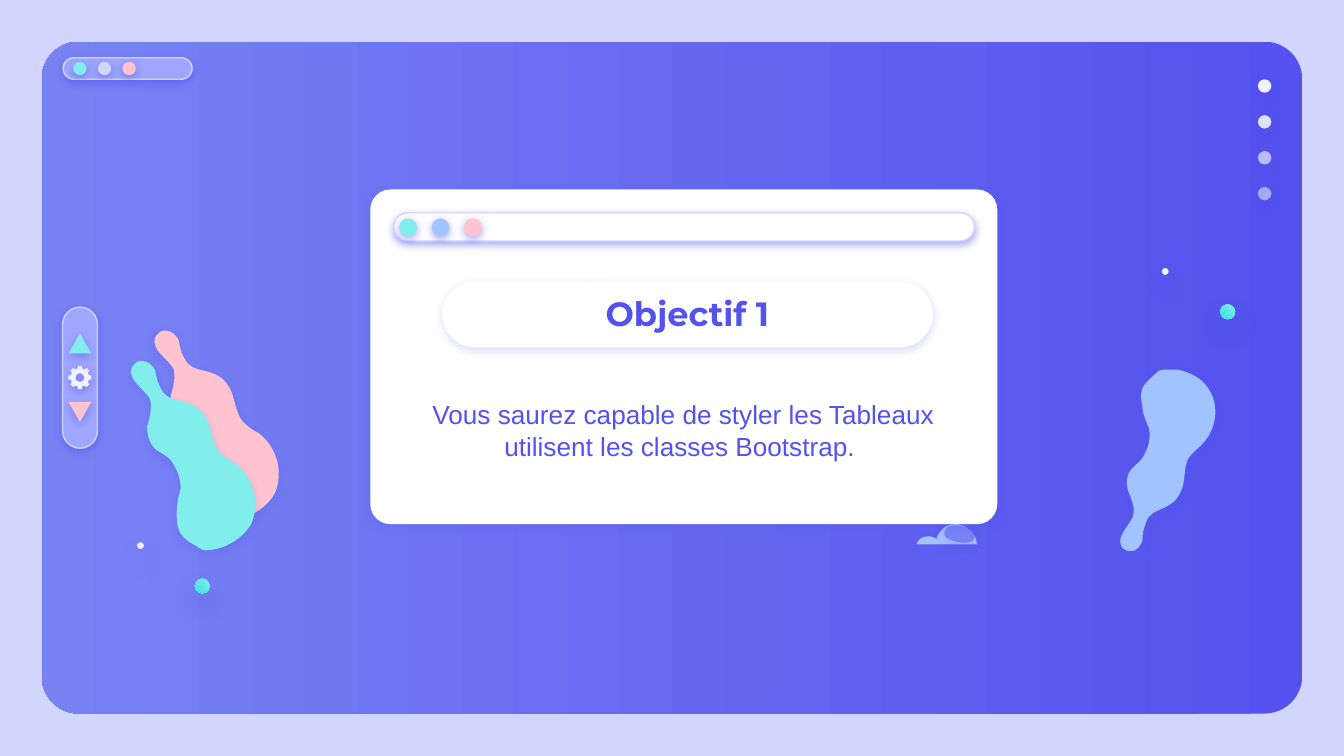
from math import cos, pi, sin

from lxml.etree import SubElement
from pptx import Presentation
from pptx.dml.color import RGBColor
from pptx.enum.shapes import MSO_SHAPE
from pptx.enum.text import MSO_ANCHOR, MSO_AUTO_SIZE, PP_ALIGN
from pptx.oxml.ns import qn
from pptx.util import Inches, Pt

# Content
TITLE = "Objectif 1"
GOAL = "Vous saurez capable de styler les Tableaux utilisent les classes Bootstrap. "

# Palette
INDIGO, VIOLET, LILAC, PALE = "5352EE", "7882F3", "9EA6FF", "D2D6FF"
MINT, SKY, ROSE, SNOW, WHITE = "81EEEB", "A1C3FF", "FFC3D0", "F1F0FF", "FFFFFF"
BACKDROP = (INDIGO, VIOLET, 180)
MINT_FADE = (MINT, "3AE4DF", 225)

# Shadows: opacity %, blur pt, distance pt
FIRM, LIGHT, FAINT, FAR = (50, 4.5, 1.5), (22, 4.5, 1.5), (18, 4.5, 1.5), (38, 12.4, 6.8)

# All lengths are cells of a square grid, 100 columns across the slide
W = Inches(10)
H = W * 9 // 16
CELL = W / 100

# Rows of dots: x, y, step x, step y, size, [(colour, opacity %)]
WINDOW_DOTS = (5.45, 4.6, 1.83, 0, 1, [(MINT, 100), (PALE, 100), (ROSE, 100)])
PAGE_DOTS = (93.6, 5.9, 0, 2.67, 1, [(SNOW, 100), (SNOW, 90), (SNOW, 67), (SNOW, 54)])
CARD_DOTS = (29.7, 16.25, 2.41, 0, 1.33, [(MINT, 100), (SKY, 100), (ROSE, 100)])

# Loose dots: x, y, size, fill
SPARKS = [(90.8, 22.65, 1.1, MINT_FADE), (86.45, 19.95, 0.5, SNOW),
          (14.5, 43.05, 1.1, MINT_FADE), (10.2, 40.35, 0.5, SNOW)]

# Curved outlines: a start point, then three points for each Bezier curve
DROP = [
    (12.2, 24.6),
    (12, 24.6), (11.9, 24.7), (11.8, 24.8), (10.8, 25.7), (12.5, 26.7), (12.9, 27.4),
    (13.1, 28), (12.9, 28.8), (12.7, 29.5), (12.7, 30.2), (12.9, 30.9), (13.5, 31.3),
    (14, 31.6), (14.4, 31.8), (14.6, 32.2), (15, 32.8), (15.2, 33.5), (15.2, 34.1),
    (15, 34.7), (14.9, 35.4), (14.9, 36), (14.9, 36.4), (14.9, 37.1), (15.3, 37.6),
    (15.7, 38.1), (16.3, 38.3), (16.7, 38.6), (16.8, 38.7), (16.9, 38.7), (17.1, 38.7),
    (17.4, 38.7), (17.9, 38.6), (18.2, 38.5), (19.1, 38.2), (20.1, 37.5), (20.5, 36.6),
    (21.1, 35.1), (20.6, 33.2), (19.2, 32.2), (18.8, 32), (18.5, 31.8), (18.1, 31.4),
    (17.6, 30.9), (17.5, 29.8), (17.2, 29.1), (16.3, 27.1), (14.5, 28), (13.8, 26.8),
    (13.5, 26.3), (13.4, 25.9), (13.3, 25.3), (13.1, 25), (12.9, 24.6), (12.2, 24.6)]
TALL_DROP = [
    (84.1, 41),
    (84, 41), (83.8, 41), (83.7, 40.9), (82.7, 40.2), (84.1, 39.1), (84.3, 38.4),
    (84.5, 37.7), (84.1, 37), (83.9, 36.4), (83.8, 35.8), (83.8, 35.2), (84.4, 34.7),
    (84.7, 34.4), (85.1, 34.1), (85.2, 33.7), (85.5, 33.2), (85.6, 32.5), (85.5, 31.9),
    (85.3, 31.4), (85, 30.8), (85, 30.2), (84.9, 29.9), (84.8, 29.2), (85.1, 28.7),
    (85.4, 28.3), (85.9, 27.9), (86.2, 27.6), (86.3, 27.6), (86.4, 27.5), (86.6, 27.5),
    (86.9, 27.5), (87.3, 27.5), (87.6, 27.5), (88.5, 27.7), (89.4, 28.1), (89.9, 28.9),
    (90.8, 30.2), (90.5, 32), (89.4, 33.1), (89.1, 33.4), (88.8, 33.6), (88.5, 34),
    (88.1, 34.5), (88.2, 35.5), (88, 36.2), (87.4, 38.2), (85.7, 37.6), (85.3, 38.8),
    (85.1, 39.3), (85, 39.7), (85, 40.2), (84.9, 40.5), (84.7, 41), (84.1, 41)]
CLOUD = [
    (71.1, 39),
    (70.8, 39), (70.4, 39.1), (70.2, 39.3), (70, 39.5), (69.7, 39.8), (69.7, 40.1),
    (69.5, 40), (69.3, 39.9), (69.1, 39.9), (69, 39.9), (68.9, 39.9), (68.8, 39.95),
    (68.5, 40), (68.3, 40.2), (68.2, 40.5), (68.2, 40.5), (72.7, 40.5), (72.7, 40.5),
    (72.7, 40), (72.3, 39.5), (71.8, 39.2), (71.6, 39.1), (71.4, 39), (71.1, 39)]
CLOUD_SHADE = [
    (71.1, 39.1),
    (70.8, 39.1), (70.5, 39.2), (70.4, 39.3), (70.3, 39.5), (70.2, 39.7), (70.3, 39.9),
    (70.4, 40), (70.5, 40.1), (70.6, 40.1), (71, 40.3), (71.4, 40.4), (71.8, 40.4),
    (72.1, 40.4), (72.4, 40.3), (72.5, 40.1), (72.6, 39.8), (72.1, 39.1), (71.1, 39.1)]


def rgb(color):
    return RGBColor.from_string(color)


def paint(sp, fill, shadow=None, line=None, alpha=100):
    if isinstance(fill, tuple):
        *ends, angle = fill
        sp.fill.gradient()
        sp.fill.gradient_angle = angle
        for stop, color in zip(sp.fill.gradient_stops, ends):
            stop.color.rgb = rgb(color)
    else:
        sp.fill.solid()
        sp.fill.fore_color.rgb = rgb(fill)
    if alpha < 100:
        color = next(sp._element.spPr.iter(qn("a:srgbClr")))
        SubElement(color, qn("a:alpha"), val=str(alpha * 1000))
    if line:
        sp.line.color.rgb = rgb(line)
        sp.line.width = Pt(0.75)
    else:
        sp.line.fill.background()
    sp.shadow.inherit = False
    if shadow:
        opacity, blur, dist = shadow
        effects = sp._element.spPr.find(qn("a:effectLst"))
        outer = SubElement(effects, qn("a:outerShdw"), blurRad=str(Pt(blur)),
                           dist=str(Pt(dist)), dir="5400000", rotWithShape="0")
        color = SubElement(outer, qn("a:srgbClr"), val=INDIGO)
        SubElement(color, qn("a:alpha"), val=str(opacity * 1000))


def cells(*lengths):
    return [round(n * CELL) for n in lengths]


def add(kind, box, fill, shadow=None, line=None, alpha=100, adj=None, rot=0):
    sp = slide.shapes.add_shape(kind, *cells(*box))
    if adj is not None:
        sp.adjustments[0] = adj
    sp.rotation = rot
    paint(sp, fill, shadow, line, alpha)


def add_dots(x, y, dx, dy, size, dots):
    for i, (color, alpha) in enumerate(dots):
        add(MSO_SHAPE.OVAL, (x + i * dx, y + i * dy, size, size), color, FIRM, alpha=alpha)


def add_outline(contours, fill, shadow):
    first, *rest = [[cells(*pt) for pt in c] for c in contours]
    builder = slide.shapes.build_freeform(*first[0])
    builder.add_line_segments(first[1:])
    for contour in rest:
        builder.move_to(*contour[0])
        builder.add_line_segments(contour[1:])
    sp = builder.convert_to_shape()
    paint(sp, fill, shadow)
    return sp


def add_curve(points, fill, shadow, dx=0, dy=0):
    """Closed outline whose points, three by three, make Bezier curves."""
    sp = add_outline([[(x + dx, y + dy) for x, y in points]], fill, shadow)
    lines = list(sp._element.spPr.iter(qn("a:lnTo")))
    for i in range(0, len(points) - 1, 3):
        first, *others = lines[i:i + 3]
        first.tag = qn("a:cubicBezTo")
        for ln in others:
            first.append(ln[0])
            ln.getparent().remove(ln)


def gear(cx, cy, outer, root, hole, teeth=8):
    def at(r, turn):
        return cx + r * cos(2 * pi * turn), cy + r * sin(2 * pi * turn)
    profile = ((root, -0.28), (outer, -0.24), (outer, 0.24), (root, 0.28))
    rim = [at(r, (i + s) / teeth) for i in range(teeth) for r, s in profile]
    return [rim, [at(hole, -i / 12) for i in range(12)]]


def write(ph, box, text, font, size, inset, bold=False):
    ph.left, ph.top, ph.width, ph.height = cells(*box)
    paint(ph, WHITE)
    slide.shapes._spTree.append(ph._element)  # bring to front
    tf = ph.text_frame
    tf.word_wrap, tf.auto_size = True, MSO_AUTO_SIZE.NONE
    tf.vertical_anchor = MSO_ANCHOR.MIDDLE
    tf.margin_left = tf.margin_right = tf.margin_top = tf.margin_bottom = Inches(inset)
    p = tf.paragraphs[0]
    p.alignment, p.space_before, p.line_spacing = PP_ALIGN.CENTER, Pt(0), 1.0
    r = p.add_run()
    r.text = text
    r.font.name, r.font.size, r.font.bold = font, Pt(size), bold
    r.font.color.rgb = rgb(INDIGO)


prs = Presentation()
prs.slide_width, prs.slide_height = W, H
slide = prs.slides.add_slide(prs.slide_layouts[0])
title, subtitle = slide.placeholders
slide.background.fill.solid()
slide.background.fill.fore_color.rgb = rgb(PALE)
ROUND, TRIANGLE = MSO_SHAPE.ROUNDED_RECTANGLE, MSO_SHAPE.ISOSCELES_TRIANGLE

# Backdrop window
add(ROUND, (3.1, 3.1, 93.8, 50), BACKDROP, adj=0.056)
add(ROUND, (4.7, 4.3, 9.6, 1.6), LILAC, FIRM, PALE, adj=0.5)
add_dots(*WINDOW_DOTS)
add_dots(*PAGE_DOTS)

# Drops and sparks
add_curve(TALL_DROP, SKY, LIGHT)
add_curve(DROP, ROSE, LIGHT)
add_curve(DROP, MINT, LIGHT, -1.75, 2.25)
for x, y, size, fill in SPARKS:
    add(MSO_SHAPE.OVAL, (x, y, size, size), fill, FAR)

# Side control
add(ROUND, (0.7, 26.8, 10.5, 2.6), LILAC, FIRM, PALE, adj=0.5, rot=90)
add(TRIANGLE, (5.1, 24.8, 1.7, 1.5), MINT, FIRM)
add(TRIANGLE, (5.1, 29.9, 1.7, 1.5), ROSE, FIRM, rot=180)
add_outline(gear(5.95, 28.1, 0.87, 0.7, 0.32), SNOW, FIRM)

# Cloud and card
add_curve(CLOUD, SKY, FAINT)
add_curve(CLOUD_SHADE, VIOLET, FAINT)
add(ROUND, (27.55, 14.1, 46.65, 24.9), WHITE, FAINT, adj=0.06)
add(ROUND, (29.3, 15.83, 43.2, 2.1), WHITE, FIRM, PALE, adj=0.5)
add_dots(*CARD_DOTS)

# Text
write(subtitle, (31, 26.8, 39.7, 10.4), GOAL, "Arial", 14, 0.1)
add(ROUND, (32.9, 20.95, 36.5, 4.9), WHITE, FAINT, adj=0.5)
write(title, (36.2, 21.9, 29.9, 2.8), TITLE, "Montserrat", 18, 0, bold=True)

prs.save("out.pptx")
